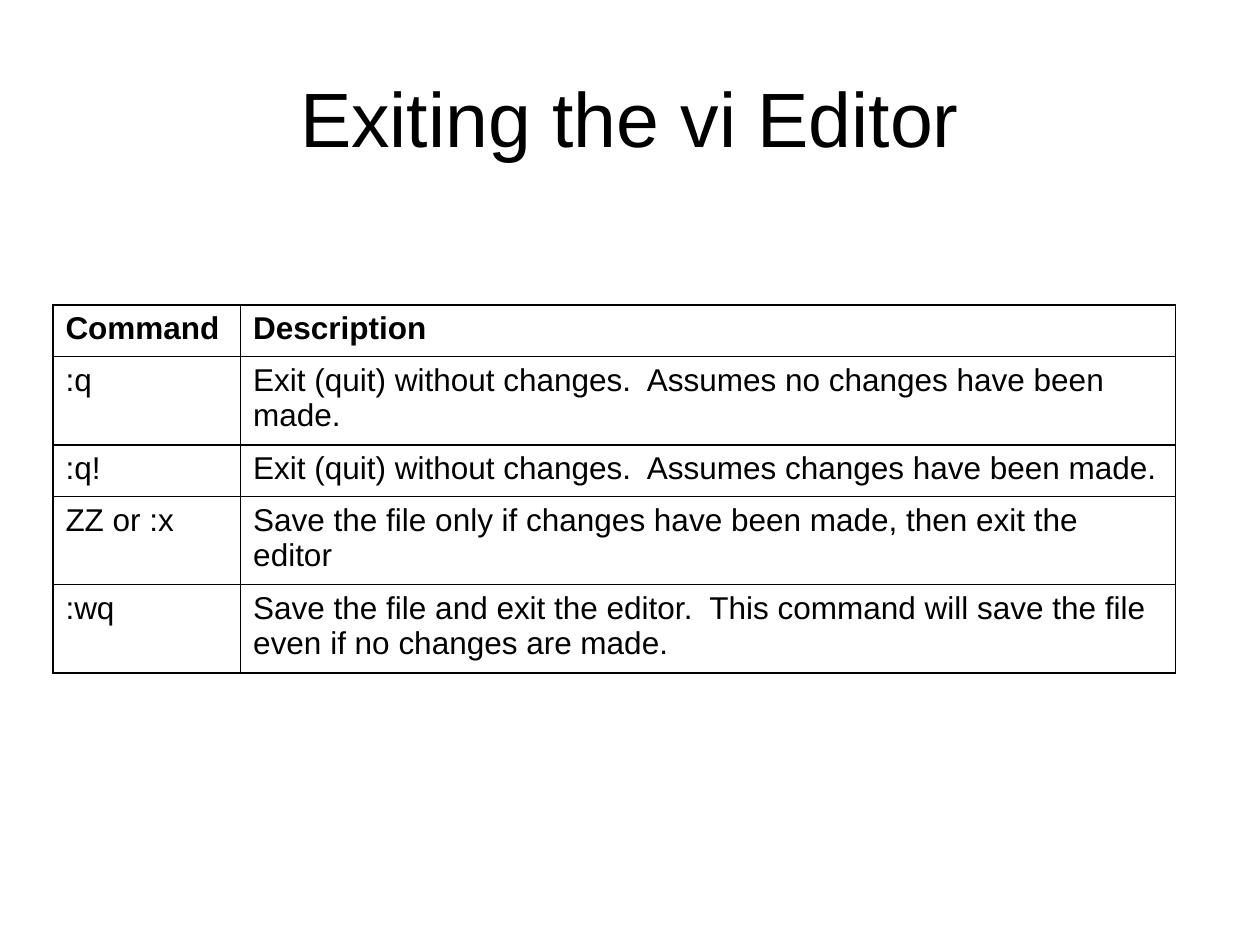
from pptx import Presentation
from pptx.dml.color import RGBColor
from pptx.enum.text import MSO_ANCHOR, PP_ALIGN
from pptx.oxml.xmlchemy import OxmlElement
from pptx.util import Inches, Pt

COMMANDS = [
    ("Command", "Description"),
    (":q", "Exit (quit) without changes.  Assumes no changes have been made."),
    (":q!", "Exit (quit) without changes.  Assumes changes have been made."),
    ("ZZ or :x", "Save the file only if changes have been made, then exit the editor"),
    (":wq", "Save the file and exit the editor.  This command will save the file "
            "even if no changes are made."),
]
COLUMN_WIDTHS = [1.49, 7.42]
ROW_HEIGHTS = [0.41, 0.7, 0.41, 0.7, 0.7]


def color(value):
    return RGBColor.from_string(value)


class SlideBuilder:
    """Holds the style and the current slide, and adds elements to it."""

    font = "Arial"
    ink = "000000"
    paper = "FFFFFF"

    def __init__(self, slide):
        self.s = slide
        fill = slide.background.fill
        fill.solid()
        fill.fore_color.rgb = color(self.paper)

    def run(self, p, text, size, bold=False):
        r = p.add_run()
        r.text = text
        r.font.name = self.font
        r.font.size = Pt(size)
        r.font.bold = bold
        r.font.color.rgb = color(self.ink)

    def title(self, text, left, top, width, height):
        sp = self.s.shapes.add_textbox(
            Inches(left), Inches(top), Inches(width), Inches(height))
        tf = sp.text_frame
        tf.word_wrap = True
        tf.vertical_anchor = MSO_ANCHOR.MIDDLE
        p = tf.paragraphs[0]
        p.alignment = PP_ALIGN.CENTER
        self.run(p, text, 44)

    def borders(self, cell):
        tc_pr = cell._tc.get_or_add_tcPr()
        for side in ("L", "R", "T", "B"):
            line = OxmlElement(f"a:ln{side}")
            line.set("w", str(Pt(1)))
            fill = OxmlElement("a:solidFill")
            rgb = OxmlElement("a:srgbClr")
            rgb.set("val", self.ink)
            fill.append(rgb)
            line.append(fill)
            tc_pr.append(line)

    def table(self, rows, left, top, widths, heights):
        table = self.s.shapes.add_table(
            len(rows), len(widths), Inches(left), Inches(top),
            Inches(sum(widths)), Inches(sum(heights))).table
        table.first_row = table.horz_banding = False
        for column, width in zip(table.columns, widths):
            column.width = Inches(width)
        for row, height in zip(table.rows, heights):
            row.height = Inches(height)
        for i, texts in enumerate(rows):
            for j, text in enumerate(texts):
                cell = table.cell(i, j)
                self.borders(cell)
                cell.fill.background()
                self.run(cell.text_frame.paragraphs[0], text, 18, bold=i == 0)


def main():
    prs = Presentation()
    prs.slide_width, prs.slide_height = Inches(10), Inches(7.5)
    builder = SlideBuilder(prs.slides.add_slide(prs.slide_layouts[6]))
    builder.title("Exiting the vi Editor", 0.5, 0.3, 9, 1.25)
    builder.table(COMMANDS, 0.42, 2.42, COLUMN_WIDTHS, ROW_HEIGHTS)
    prs.save("out.pptx")


if __name__ == "__main__":
    main()
